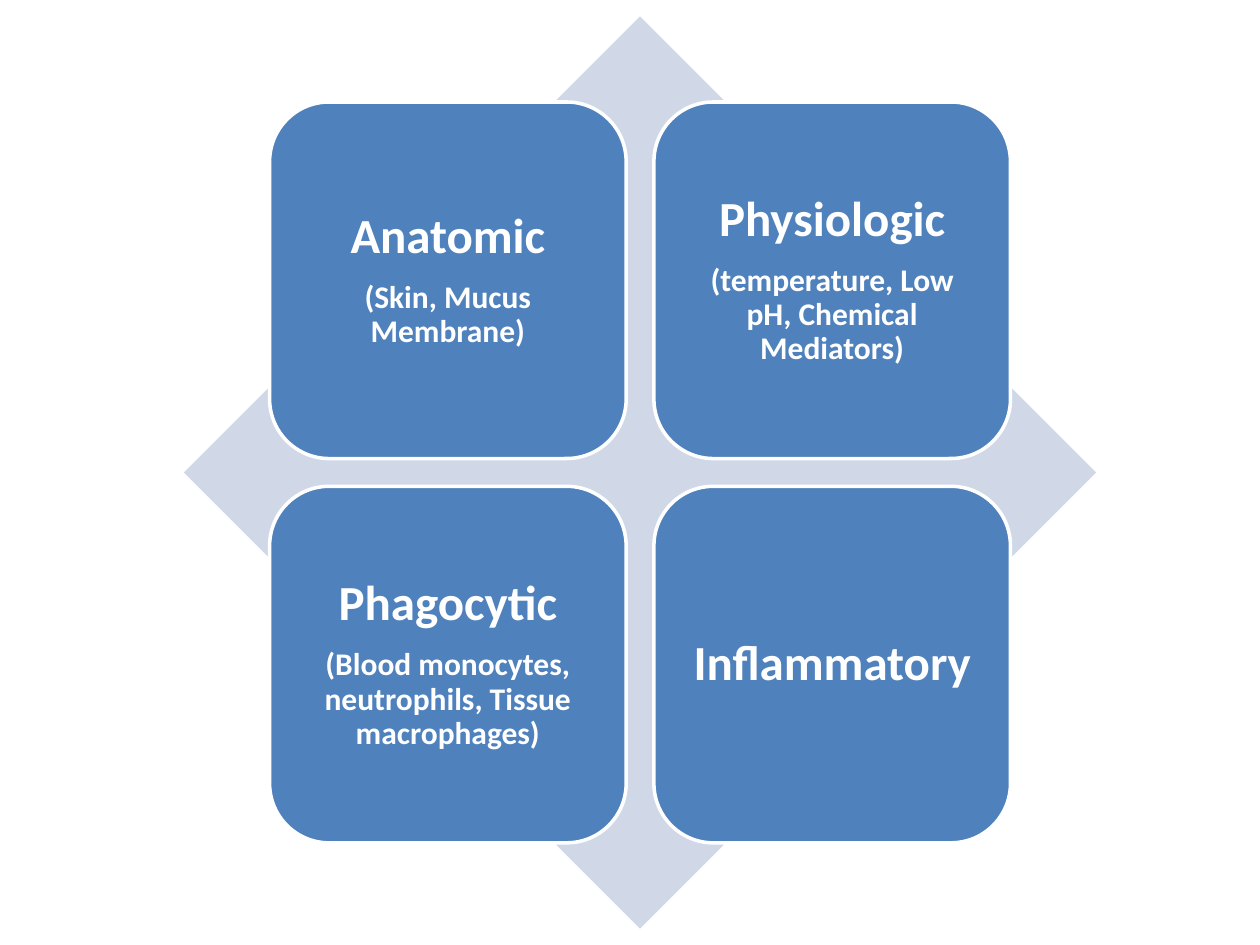
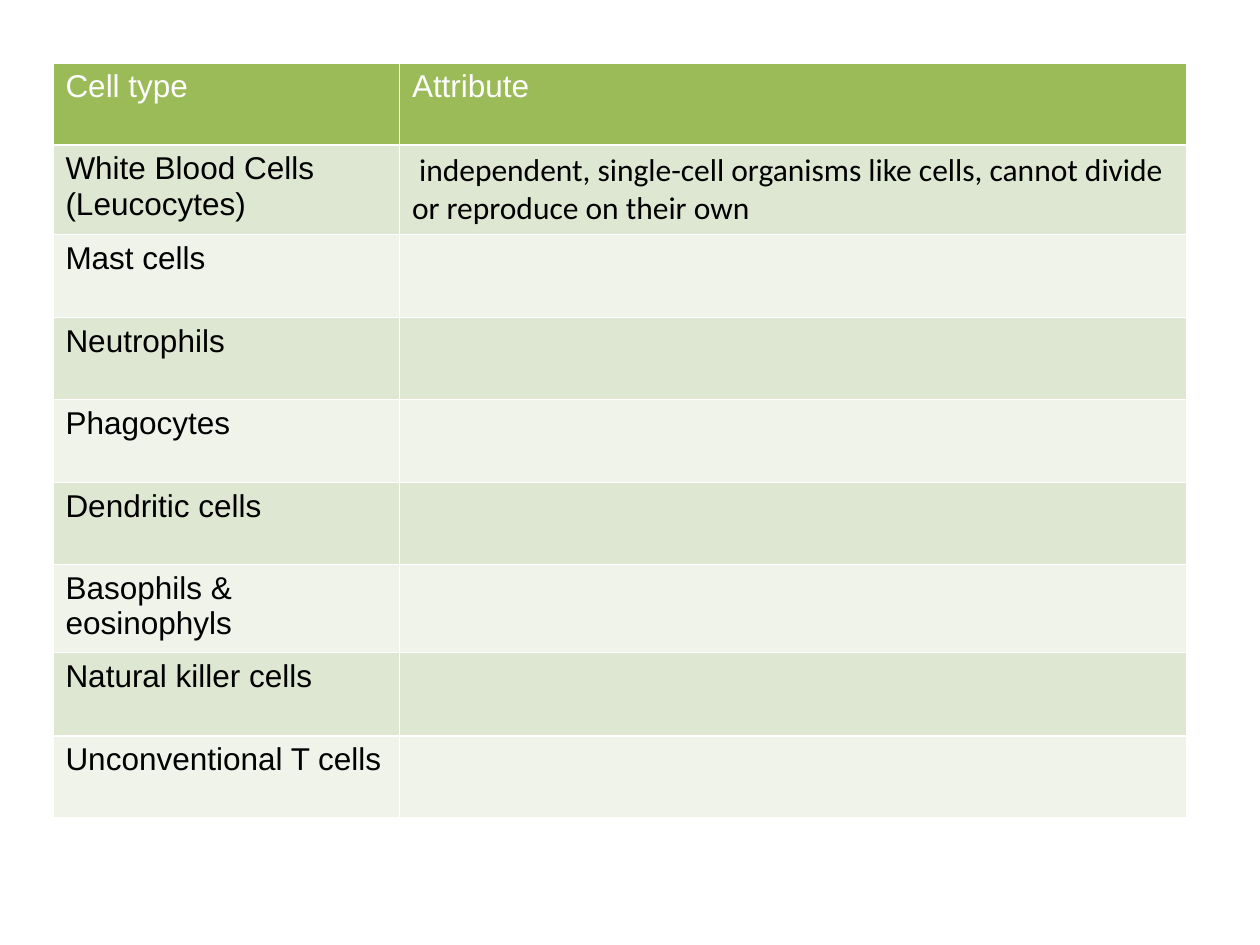
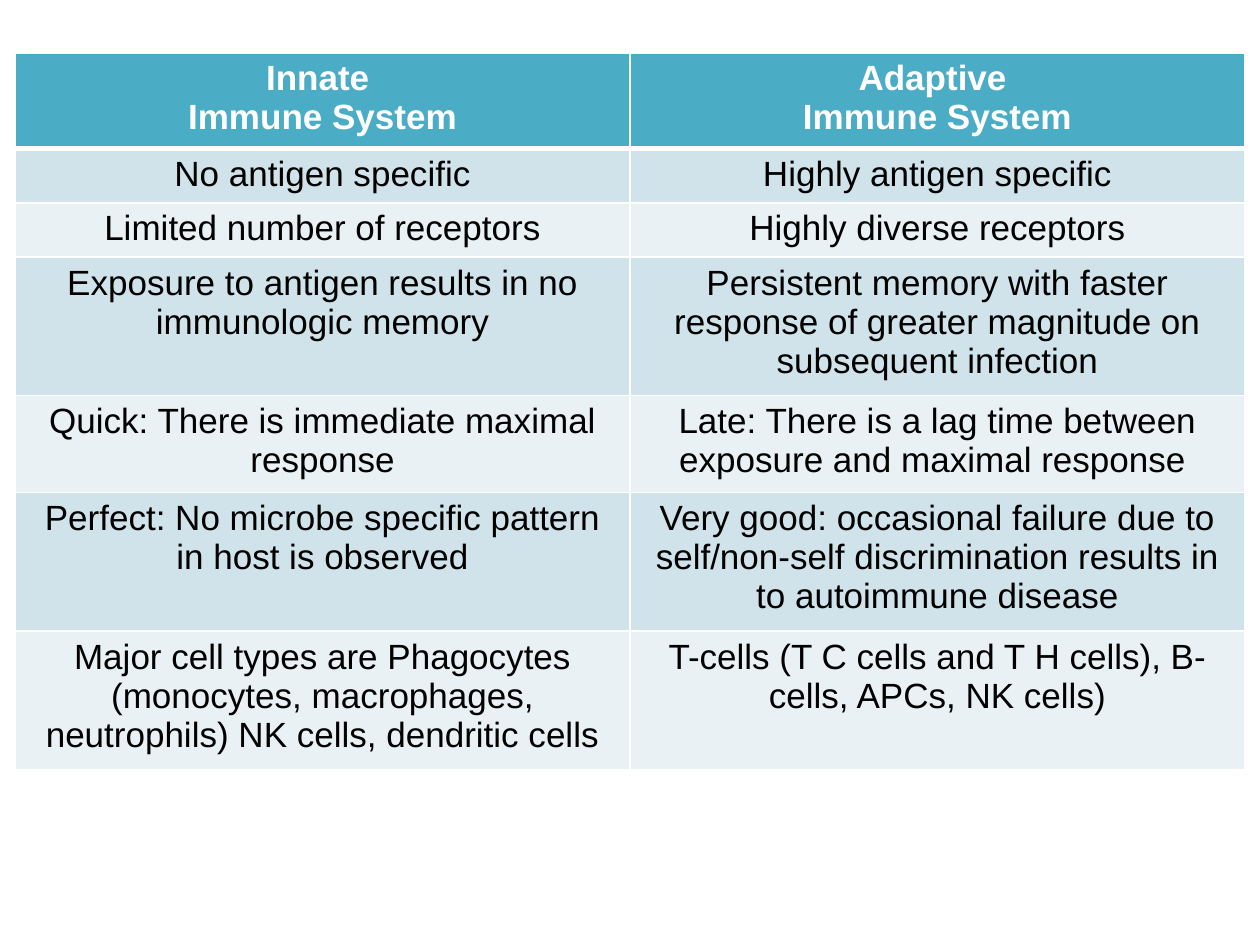
import pptx
import pptx.dml.color
import pptx.enum.shapes
import pptx.enum.text
import pptx.oxml
import pptx.oxml.ns
import pptx.util
from pptx.util import Inches

COLORS = {
    "white": "FFFFFF", "black": "000000",
    "diamond": "D0D8E8", "tile": "4F81BD",
    "green": "9BBB59", "green_odd": "DEE7D1", "green_even": "EFF3EA",
    "aqua": "4BACC6", "aqua_odd": "D0E3EA", "aqua_even": "E9F1F5",
}
SHAPES = pptx.enum.shapes.MSO_SHAPE
CENTER = pptx.enum.text.PP_ALIGN.CENTER
LEFT = pptx.enum.text.PP_ALIGN.LEFT


def rgb(name):
    return pptx.dml.color.RGBColor.from_string(COLORS[name])


class SlideBuilder:
    """Holds the deck, its shared style and the current slide."""

    def __init__(self):
        self.deck = pptx.Presentation()
        self.deck.slide_width = Inches(10)
        self.deck.slide_height = Inches(7.5)
        self.page = None

    def new_page(self):
        self.page = self.deck.slides.add_slide(self.deck.slide_layouts[6])

    def format_font(self, target, size, color, bold=False, name="Arial"):
        values = {"name": name, "size": pptx.util.Pt(size), "bold": bold}
        for key, value in values.items():
            setattr(target.font, key, value)
        target.font.color.rgb = rgb(color)

    def shape(self, kind, left, top, size, fill, outline=None):
        box = self.page.shapes.add_shape(
            kind, Inches(left), Inches(top), Inches(size), Inches(size))
        box.shadow.inherit = False
        box.fill.solid()
        box.fill.fore_color.rgb = rgb(fill)
        if outline:
            box.line.color.rgb = rgb(outline)
            box.line.width = pptx.util.Pt(2)
        else:
            box.line.fill.background()
        return box

    def tile(self, left, top, size, lines):
        """Rounded square with a large heading and an optional detail line."""
        box = self.shape(SHAPES.ROUNDED_RECTANGLE, left, top, size, "tile", "white")
        frame = box.text_frame
        frame.word_wrap = True
        frame.vertical_anchor = pptx.enum.text.MSO_ANCHOR.MIDDLE
        for side in ("left", "top", "right", "bottom"):
            setattr(frame, f"margin_{side}", Inches(0.12))
        frame.text = "\n".join(lines)
        for para, size, gap in zip(frame.paragraphs, (28, 18), (10, 6)):
            values = {"alignment": CENTER, "line_spacing": 0.9,
                      "space_after": pptx.util.Pt(gap)}
            for key, value in values.items():
                setattr(para, key, value)
            for span in para.runs:
                self.format_font(span, size, "white", True, "Calibri")

    def cell_borders(self, cell, widths):
        properties = cell._tc.get_or_add_tcPr()
        for position, (side, width) in enumerate(widths.items()):
            line = pptx.oxml.parse_xml(
                f'<a:ln{side} {pptx.oxml.ns.nsdecls("a")} w="{pptx.util.Pt(width)}">'
                f'<a:solidFill><a:srgbClr val="{COLORS["white"]}"/></a:solidFill>'
                f'</a:ln{side}>')
            properties.insert(position, line)

    def table(self, left, top, columns, heights, rows, theme, size,
              align=LEFT, bold_header=False, header_rule=1):
        grid = self.page.shapes.add_table(
            len(rows), len(columns), Inches(left), Inches(top),
            Inches(sum(columns)), Inches(sum(heights))).table
        for column, width in zip(grid.columns, columns):
            column.width = Inches(width)
        for number, (row, height, texts) in enumerate(zip(grid.rows, heights, rows)):
            row.height = Inches(height)
            header = number == 0
            fill = theme if header else theme + ("_odd" if number % 2 else "_even")
            borders = {"L": 1, "R": 1, "T": header_rule if number == 1 else 1,
                       "B": header_rule if header else 1}
            for cell, text in zip(row.cells, texts):
                cell.fill.solid()
                cell.fill.fore_color.rgb = rgb(fill)
                self.cell_borders(cell, borders)
                if not text:
                    continue
                cell.text = text
                for para in cell.text_frame.paragraphs:
                    para.alignment = align
                    for span in para.runs:
                        self.format_font(span, size, "white" if header else "black",
                                         header and bold_header)
        return grid


def barriers_page(builder):
    builder.new_page()
    left, top, width = 1.46, 0.13, 7.24
    builder.shape(SHAPES.DIAMOND, left, top, width, "diamond")

    # Four tiles around the centre of the diamond
    size, gap = 2.83, 0.22
    first_left = left + (width - gap) / 2 - size
    first_top = top + (width - gap) / 2 - size
    tiles = [
        ("Anatomic", "(Skin, Mucus Membrane)"),
        ("Physiologic", "(temperature, Low pH, Chemical Mediators)"),
        ("Phagocytic", "(Blood monocytes, neutrophils, Tissue macrophages)"),
        ("Inflammatory",),
    ]
    for number, lines in enumerate(tiles):
        row, column = divmod(number, 2)
        builder.tile(first_left + column * (size + gap),
                     first_top + row * (size + gap), size, lines)


def cell_types_page(builder):
    builder.new_page()
    rows = [
        ("Cell type", "Attribute"),
        ("White Blood Cells (Leucocytes)",
         " independent, single-cell organisms like cells, "
         "cannot divide or reproduce on their own"),
        ("Mast cells", ""),
        ("Neutrophils", ""),
        ("Phagocytes", ""),
        ("Dendritic cells", ""),
        ("Basophils & eosinophyls", ""),
        ("Natural killer cells", ""),
        ("Unconventional T cells", ""),
    ]
    heights = [0.65, 0.7, 0.66, 0.65, 0.66, 0.65, 0.7, 0.66, 0.65]
    grid = builder.table(0.42, 0.5, [2.75, 6.25], heights, rows, "green", 18)
    # The one filled attribute is set in Calibri
    grid.cell(1, 1).text_frame.paragraphs[0].runs[0].font.name = "Calibri"


def comparison_page(builder):
    builder.new_page()
    rows = [
        ("Innate \nImmune System", "Adaptive \nImmune System"),
        ("No antigen specific", "Highly antigen specific"),
        ("Limited number of receptors", "Highly diverse receptors"),
        ("Exposure to antigen results in no immunologic memory",
         "Persistent memory with faster response of greater magnitude "
         "on subsequent infection"),
        ("Quick: There is immediate maximal response",
         "Late: There is a lag time between exposure and maximal response "),
        ("Perfect: No microbe specific pattern in host is observed",
         "Very good: occasional failure due to self/non-self discrimination "
         "results in to autoimmune disease"),
        ("Major cell types are Phagocytes (monocytes, macrophages, "
         "neutrophils) NK cells, dendritic cells",
         "T-cells (T C cells and T H cells), B-cells, APCs, NK cells)"),
    ]
    heights = [0.76, 0.43, 0.43, 1.1, 0.77, 1.1, 1.1]
    builder.table(0.12, 0.42, [4.88, 4.88], heights, rows, "aqua", 20,
                  CENTER, bold_header=True, header_rule=3)


def main():
    builder = SlideBuilder()
    barriers_page(builder)
    cell_types_page(builder)
    comparison_page(builder)
    builder.deck.save("out.pptx")


if __name__ == "__main__":
    main()
